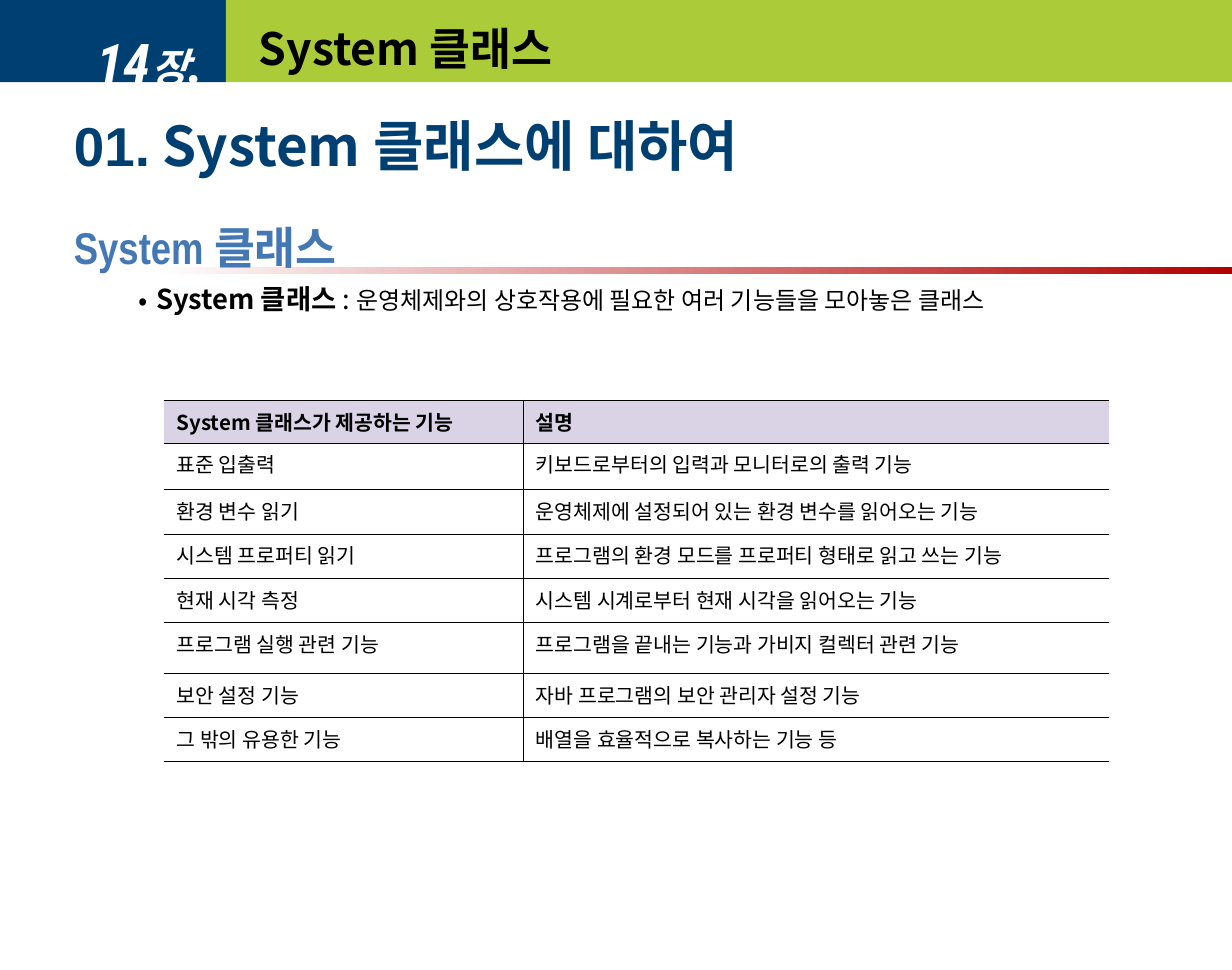
from lxml import etree
from pptx import Presentation
from pptx.dml.color import RGBColor
from pptx.enum import shapes, text
from pptx.oxml.ns import qn
from pptx.util import Pt

SANS = "Noto Sans CJK KR"
NAVY, GREEN, BLUE, RED = "003F71", "ACCB39", "4378B5", "B20000"
BLACK, WHITE, LILAC = "000000", "FFFFFF", "DAD3E5"

TITLE = "System 클래스"
CHAPTER = [("14", 32), ("장", 24), (".", 32)]

# Each paragraph: paragraph format, bullet or not, runs of (text, font format)
BODY = [
    ({"line_spacing": 0.9}, False, [
        ("01.", {"name": "Arial", "size": Pt(32), "bold": True, "color": NAVY}),
        (" System 클래스에 대하여", {"size": Pt(32), "bold": True, "color": NAVY}),
    ]),
    ({"line_spacing": 0.9, "space_before": Pt(28), "space_after": Pt(6.5)}, False, [
        ("System 클래스",
         {"name": "Arial Narrow", "size": Pt(26), "bold": True, "color": BLUE}),
    ]),
    ({"line_spacing": 0.9, "space_before": Pt(0)}, True, [
        ("System 클래스 ", {"size": Pt(16), "bold": True}),
        (": ", {"size": Pt(16), "bold": False}),
        ("운영체제와의 상호작용에 필요한 여러 기능들을 모아놓은 클래스",
         {"size": Pt(14), "bold": False}),
    ]),
]

FEATURES = [
    ("System 클래스가 제공하는 기능", "설명"),
    ("표준 입출력", "키보드로부터의 입력과 모니터로의 출력 기능"),
    ("환경 변수 읽기", "운영체제에 설정되어 있는 환경 변수를 읽어오는 기능"),
    ("시스템 프로퍼티 읽기", "프로그램의 환경 모드를 프로퍼티 형태로 읽고 쓰는 기능"),
    ("현재 시각 측정", "시스템 시계로부터 현재 시각을 읽어오는 기능"),
    ("프로그램 실행 관련 기능", "프로그램을 끝내는 기능과 가비지 컬렉터 관련 기능"),
    ("보안 설정 기능", "자바 프로그램의 보안 관리자 설정 기능"),
    ("그 밖의 유용한 기능", "배열을 효율적으로 복사하는 기능 등"),
]
COLUMN_WIDTHS = [210, 342]
ROW_HEIGHTS = [24.8, 27, 26.2, 25.8, 25.8, 29.8, 25.8, 25.8]

FRAME = {"word_wrap": True, "auto_size": text.MSO_AUTO_SIZE.NONE,
         "margin_left": Pt(7.2), "margin_right": Pt(7.2),
         "margin_top": Pt(3.6), "margin_bottom": Pt(3.6)}


def rgb(value):
    return RGBColor.from_string(value)


def apply(target, formats):
    for name, value in formats.items():
        setattr(target, name, value)


def place(shape, left, top, width, height):
    apply(shape, {"left": Pt(left), "top": Pt(top),
                  "width": Pt(width), "height": Pt(height)})


def add_run(paragraph, words, color=BLACK, name=SANS, **font_format):
    run = paragraph.add_run()
    run.text = words
    run.font.color.rgb = rgb(color)
    apply(run.font, {"name": name, **font_format})
    # Korean glyphs take the East Asian font
    etree.SubElement(run.font._element, qn("a:ea"), typeface=SANS)


def set_bullet(paragraph, bulleted):
    properties = paragraph._p.get_or_add_pPr()
    indent = (Pt(48), Pt(-10)) if bulleted else (0, 0)
    properties.set("marL", str(int(indent[0])))
    properties.set("indent", str(int(indent[1])))
    if bulleted:
        etree.SubElement(properties, qn("a:buFont"), typeface=SANS)
        etree.SubElement(properties, qn("a:buChar"), char="•")
    else:
        etree.SubElement(properties, qn("a:buNone"))


def add_band(slide, left, top, width, height, color):
    band = slide.shapes.add_shape(shapes.MSO_SHAPE.RECTANGLE,
                                  Pt(left), Pt(top), Pt(width), Pt(height))
    band.shadow.inherit = False
    band.fill.solid()
    band.fill.fore_color.rgb = rgb(color)
    band.line.fill.background()
    return band


def set_border(cell, side, width):
    """Draw one cell side, or hide it when width is 0."""
    line = etree.SubElement(cell._tc.get_or_add_tcPr(), qn("a:ln" + side),
                            w=str(int(Pt(width))))
    if width:
        fill = etree.SubElement(line, qn("a:solidFill"))
        etree.SubElement(fill, qn("a:srgbClr"), val=BLACK)
    else:
        etree.SubElement(line, qn("a:noFill"))


def add_features(slide):
    rows, columns = len(FEATURES), len(COLUMN_WIDTHS)
    table = slide.shapes.add_table(rows, columns, Pt(96), Pt(234),
                                   Pt(sum(COLUMN_WIDTHS)), Pt(sum(ROW_HEIGHTS))).table
    apply(table, {"first_row": False, "horz_banding": False})
    for column, width in zip(table.columns, COLUMN_WIDTHS):
        column.width = Pt(width)
    for r, (row, height) in enumerate(zip(table.rows, ROW_HEIGHTS)):
        row.height = Pt(height)
        for c, cell in enumerate(row.cells):
            set_border(cell, "L", 0.45 if c else 0)
            set_border(cell, "R", 0.45 if c < columns - 1 else 0)
            set_border(cell, "T", 0.45 if r else 1.08)
            set_border(cell, "B", 0.45 if r < rows - 1 else 1.08)
            if r:
                cell.fill.background()
            else:
                cell.fill.solid()
                cell.fill.fore_color.rgb = rgb(LILAC)
            add_run(cell.text_frame.paragraphs[0], FEATURES[r][c],
                    size=Pt(12), bold=r == 0)


def main():
    deck = Presentation()
    apply(deck, {"slide_width": Pt(720), "slide_height": Pt(566.64)})
    slide = deck.slides.add_slide(deck.slide_layouts[1])
    title, body = slide.shapes.title, slide.placeholders[1]

    add_band(slide, 0, 0, 132, 48, NAVY)
    chapter = slide.shapes.add_textbox(Pt(0), Pt(6), Pt(126), Pt(60))
    apply(chapter.text_frame, {**FRAME, "vertical_anchor": text.MSO_ANCHOR.MIDDLE})
    chapter_line = chapter.text_frame.paragraphs[0]
    chapter_line.alignment = text.PP_ALIGN.RIGHT
    for words, size in CHAPTER:
        add_run(chapter_line, words, WHITE, "Roboto Condensed",
                size=Pt(size), bold=True, italic=True)

    add_band(slide, 132, 0, 588, 48, GREEN)
    rule = add_band(slide, 90, 156, 630, 4.2, RED)
    rule.fill.gradient()
    rule.fill.gradient_angle = 180
    for stop, color in zip(rule.fill.gradient_stops, (RED, WHITE)):
        stop.color.rgb = rgb(color)

    # Placeholders go in front of the bands
    for placeholder in (title, body):
        slide.shapes.element.append(placeholder.element)

    place(title, 144, 6, 564, 43.2)
    apply(title.text_frame, {**FRAME, "vertical_anchor": text.MSO_ANCHOR.MIDDLE})
    title_line = title.text_frame.paragraphs[0]
    title_line.alignment = text.PP_ALIGN.LEFT
    add_run(title_line, TITLE, size=Pt(26), bold=True)

    place(body, 36, 66, 647, 426)
    apply(body.text_frame, {**FRAME, "vertical_anchor": text.MSO_ANCHOR.TOP})
    for i, (paragraph_format, bulleted, runs) in enumerate(BODY):
        paragraph = body.text_frame.add_paragraph() if i else body.text_frame.paragraphs[0]
        set_bullet(paragraph, bulleted)
        apply(paragraph, {"alignment": text.PP_ALIGN.LEFT, **paragraph_format})
        for words, font_format in runs:
            add_run(paragraph, words, **font_format)

    add_features(slide)
    deck.save("out.pptx")


if __name__ == "__main__":
    main()
